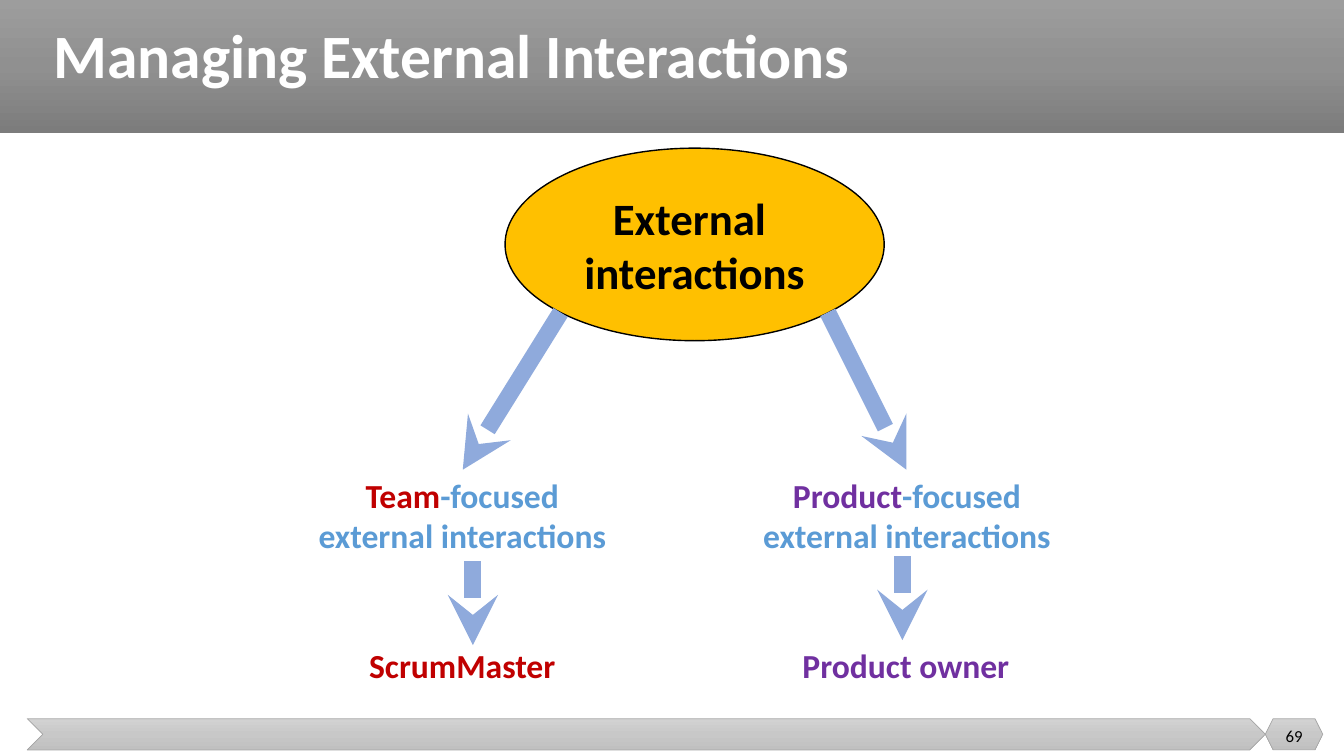
import copy

import lxml.etree
import pptx
import pptx.dml.color
import pptx.enum.shapes
import pptx.enum.text
import pptx.oxml.ns
import pptx.util

SHAPE = pptx.enum.shapes.MSO_SHAPE
ALIGN = pptx.enum.text.PP_ALIGN
ANCHOR = pptx.enum.text.MSO_ANCHOR
PX = 9144
COLORS = {
    "white": "FFFFFF", "black": "000000", "amber": "FFC000", "red": "C00000",
    "purple": "7030A0", "blue": "5B9BD5", "arrow": "8FAADC", "edge": "A5A5A5",
}
HEADER_GRADIENT = ["9D9D9D", "909090", "7C7C7C"]
FOOTER_GRADIENT = ["D2D2D2", "C8C8C8", "C0C0C0"]


def rgb(name):
    return pptx.dml.color.RGBColor.from_string(COLORS.get(name, name))


def write(frame, pieces, size, bold=True, align=ALIGN.CENTER, wrap=False, anchor=ANCHOR.TOP):
    frame.word_wrap = wrap
    frame.vertical_anchor = anchor
    paragraph = frame.paragraphs[0]
    paragraph.alignment = align
    for text, color in pieces:
        if text == "\n":
            paragraph.add_line_break()
            continue
        run = paragraph.add_run()
        run.text = text
        run.font.name = "Calibri"
        run.font.size = pptx.util.Pt(size)
        run.font.bold = bold
        run.font.color.rgb = rgb(color)
    return paragraph


deck = pptx.Presentation()
deck.slide_width = 1333 * PX
deck.slide_height = 750 * PX
slide = deck.slides.add_slide(deck.slide_layouts[5])
shapes = slide.shapes

bands = [
    (SHAPE.RECTANGLE, (0, 0, 1333, 132), HEADER_GRADIENT, None),
    (SHAPE.CHEVRON, (27, 713, 1228, 31), FOOTER_GRADIENT, "edge"),
    (SHAPE.HEXAGON, (1255, 713, 57, 31), FOOTER_GRADIENT, "edge"),
]
for preset, box, gradient, edge in bands:
    band = shapes.add_shape(preset, *[n * PX for n in box])
    band.shadow.inherit = False
    band.fill.gradient()
    band.fill.gradient_angle = 270
    stop_list = band._element.spPr.find(".//" + pptx.oxml.ns.qn("a:gsLst"))
    stop_list.insert(1, copy.deepcopy(stop_list[0]))
    for stop, position, color in zip(band.fill.gradient_stops, (0, 0.5, 1), gradient):
        stop.position = position
        stop.color.rgb = rgb(color)
    if edge:
        band.line.color.rgb = rgb(edge)
        band.line.width = pptx.util.Pt(0.5)
    else:
        band.line.fill.background()

title = shapes.title
title.left, title.top, title.width, title.height = [n * PX for n in (43, 8, 969, 100)]
heading = write(title.text_frame, [("Managing External Interactions", "white")], 44,
                align=ALIGN.LEFT, wrap=True, anchor=ANCHOR.MIDDLE)
heading.line_spacing = 0.9
shapes._spTree.append(title._element)

page_number = shapes.add_textbox(*[n * PX for n in (1255, 710, 57, 40)])
write(page_number.text_frame, [("69", "black")], 12, bold=False, wrap=True, anchor=ANCHOR.MIDDLE)

root = shapes.add_shape(SHAPE.OVAL, *[n * PX for n in (501, 147, 376, 191)])
root.shadow.inherit = False
root.fill.solid()
root.fill.fore_color.rgb = rgb("amber")
root.line.color.rgb = rgb("black")
root.line.width = pptx.util.Pt(1)
frame = root.text_frame
frame.margin_left = frame.margin_top = frame.margin_right = frame.margin_bottom = 0
write(frame, [("External ", "black"), ("\n", None), ("interactions", "black")], 32,
      anchor=ANCHOR.MIDDLE)

branches = [
    ("Team", "ScrumMaster", "red", (304, 309), (355, 207)),
    ("Product", "Product owner", "purple", (745, 309), (785, 227)),
]
for focus, owner, color, (focus_left, focus_width), (owner_left, owner_width) in branches:
    focus_label = shapes.add_textbox(focus_left * PX, 466 * PX, focus_width * PX, 91 * PX)
    write(focus_label.text_frame, [(focus, color), ("-focused", "blue"), ("\n", None),
                                   ("external interactions", "blue")], 24)
    owner_label = shapes.add_textbox(owner_left * PX, 635 * PX, owner_width * PX, 50 * PX)
    write(owner_label.text_frame, [(owner, color)], 24)

arrows = [
    (895, 552, 895, 635),
    (469, 557, 469, 640),
    (556, 310, 459, 466),
    (821, 310, 899, 466),
]
for ends in arrows:
    arrow = shapes.add_connector(pptx.enum.shapes.MSO_CONNECTOR.STRAIGHT, *[n * PX for n in ends])
    arrow.line.color.rgb = rgb("arrow")
    arrow.line.width = pptx.util.Pt(12)
    properties = arrow._element.spPr
    outline = properties.find(pptx.oxml.ns.qn("a:ln"))
    lxml.etree.SubElement(outline, pptx.oxml.ns.qn("a:tailEnd"), type="stealth")
    lxml.etree.SubElement(properties, pptx.oxml.ns.qn("a:effectLst"))

deck.save("out.pptx")
